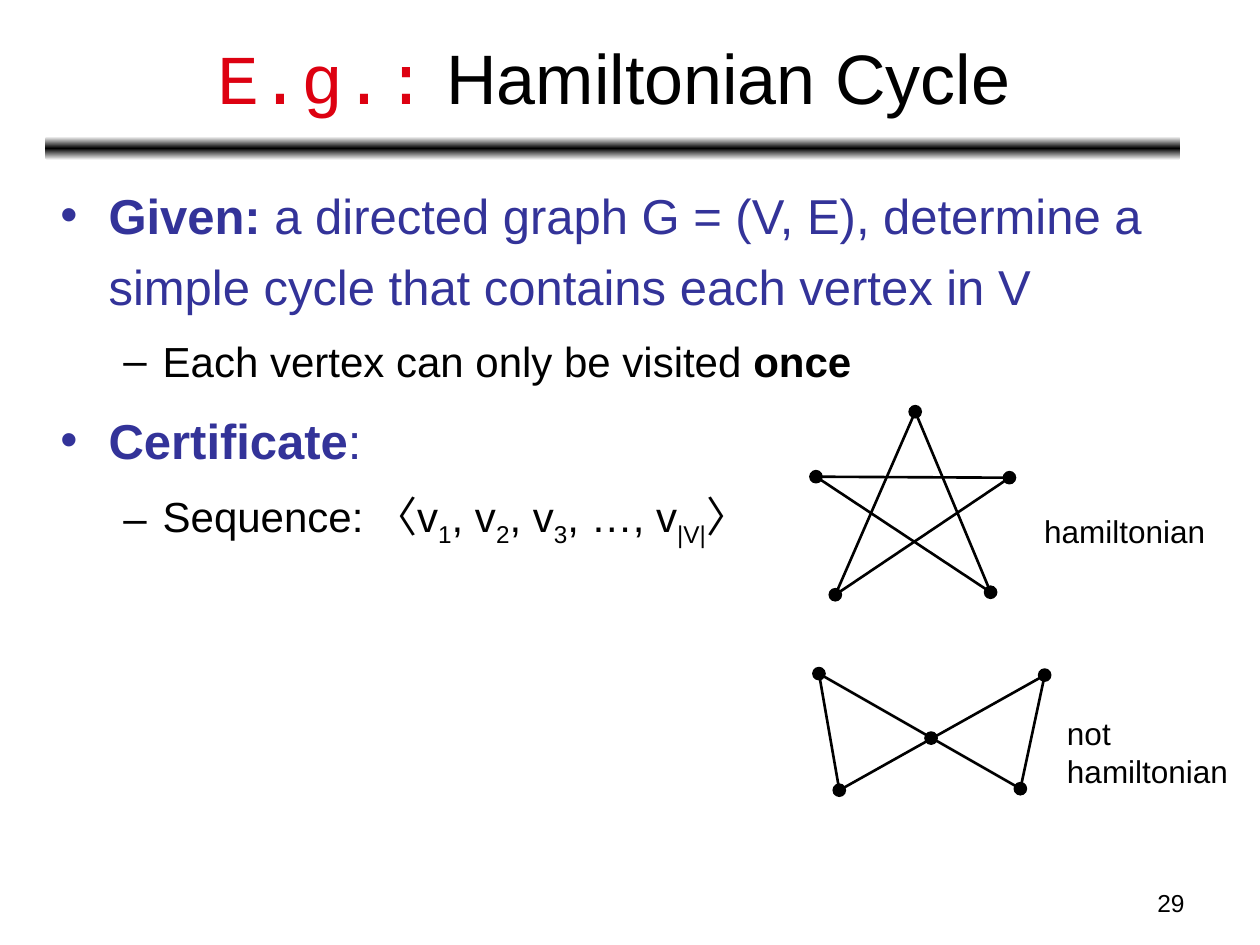
from copy import deepcopy
from dataclasses import dataclass

from lxml.etree import SubElement
from pptx import Presentation
from pptx.dml.color import RGBColor
from pptx.enum.shapes import MSO_CONNECTOR as Link, MSO_SHAPE as Preset
from pptx.enum.text import MSO_ANCHOR as Anchor, PP_ALIGN as Align
from pptx.oxml.ns import qn
from pptx.util import Cm, Pt


@dataclass(frozen=True)
class Theme:
    black: str = "000000"
    white: str = "FFFFFF"
    red: str = "DD0111"
    blue: str = "333399"
    sans: str = "Arial"
    mono: str = "Courier New"
    title: int = 40
    level_one: int = 28
    level_two: int = 24
    label: int = 18
    number: int = 14


def apply(target, values):
    for name, value in values.items():
        setattr(target, name, value)


class Painter:
    def __init__(self, page, theme):
        self.page = page
        self.theme = theme

    def text_box(self, left, top, width, height, **frame_format):
        box = self.page.shapes.add_textbox(Cm(left), Cm(top), Cm(width), Cm(height))
        apply(box.text_frame, {"word_wrap": True, **frame_format})
        return box.text_frame

    def paragraph(self, frame, spans, size, color=None, **para_format):
        """Add a paragraph; each span is a text with its own format values."""
        first = not frame.paragraphs[0].runs
        para = frame.paragraphs[0] if first else frame.add_paragraph()
        if first:
            para_format.pop("space_before", None)
        apply(para, para_format)
        for text, changes in spans:
            span = para.add_run()
            span.text = text
            look = {"name": self.theme.sans, "size": Pt(size), **changes}
            ink = look.pop("color", color or self.theme.black)
            baseline = look.pop("baseline", None)
            apply(span.font, look)
            span.font.color.rgb = RGBColor.from_string(ink)
            if baseline:
                span.font._element.set("baseline", str(baseline))
        return para

    def bullet(self, frame, level, spans):
        theme = self.theme
        mark, size, color, margin, hang, gap = (
            ("•", theme.level_one, theme.blue, 0.97, 0.97, 7),
            ("–", theme.level_two, theme.black, 2.06, 0.79, 6),
        )[level]
        para = self.paragraph(frame, spans, size, color, level=level,
                              line_spacing=1.2, space_before=Pt(gap))
        props = para._p.get_or_add_pPr()
        props.set("marL", str(Cm(margin)))
        props.set("indent", str(-Cm(hang)))
        SubElement(SubElement(props, qn("a:buClr")), qn("a:srgbClr")).set("val", color)
        SubElement(props, qn("a:buFont")).set("typeface", theme.sans)
        SubElement(props, qn("a:buChar")).set("char", mark)

    def rule(self, left, top, width, height):
        """A bar that fades from black in the middle to white at both edges."""
        bar = self.page.shapes.add_shape(Preset.ROUNDED_RECTANGLE, Cm(left), Cm(top),
                                         Cm(width), Cm(height))
        bar.shadow.inherit = False
        bar.line.fill.background()
        bar.fill.gradient()
        bar.fill.gradient_angle = 90
        stops = bar.fill._xPr.find(qn("a:gradFill")).find(qn("a:gsLst"))
        stops.append(deepcopy(stops[0]))
        colors = (self.theme.white, self.theme.black, self.theme.white)
        for stop, position, color in zip(bar.fill.gradient_stops, (0, 0.5, 1), colors):
            stop.position = position
            stop.color.rgb = RGBColor.from_string(color)

    def edge(self, start, end):
        line = self.page.shapes.add_connector(Link.STRAIGHT, *map(Cm, start + end))
        line.line.width = Pt(1.5)
        line.line.color.rgb = RGBColor.from_string(self.theme.black)
        SubElement(line._element.spPr, qn("a:effectLst"))

    def vertex(self, center, size=0.25):
        left, top = (Cm(value - size / 2) for value in center)
        dot = self.page.shapes.add_shape(Preset.OVAL, left, top, Cm(size), Cm(size))
        dot.shadow.inherit = False
        dot.fill.solid()
        dot.line.width = Pt(0.75)
        for part in (dot.fill.fore_color, dot.line.color):
            part.rgb = RGBColor.from_string(self.theme.black)

    def graph(self, vertices, edges):
        for start, end in edges:
            self.edge(vertices[start], vertices[end])
        for center in vertices.values():
            self.vertex(center)

    def label(self, left, top, height, *lines):
        frame = self.text_box(left, top, 3.76, height, word_wrap=False)
        for line in lines:
            self.paragraph(frame, [(line, {})], self.theme.label)


def main():
    theme = Theme()
    deck = Presentation()
    apply(deck, {"slide_width": Cm(25.4), "slide_height": Cm(19.05)})
    page = deck.slides.add_slide(deck.slide_layouts[6])
    painter = Painter(page, theme)

    # Title, rule and page number
    painter.rule(0.91, 2.75, 22.89, 0.48)
    title = painter.text_box(0.94, 0.28, 22.86, 2.51, vertical_anchor=Anchor.MIDDLE)
    painter.paragraph(title, [("E.g.:", {"name": theme.mono, "color": theme.red}),
                              (" Hamiltonian Cycle", {})],
                      theme.title, alignment=Align.CENTER)
    number = painter.text_box(18.21, 17.78, 5.92, 0.89)
    painter.paragraph(number, [("29", {})], theme.number, alignment=Align.RIGHT)

    # Problem statement and certificate
    bold, sub = {"bold": True}, {"baseline": -25000}
    body = painter.text_box(0.97, 3.38, 22.86, 14.1)
    painter.bullet(body, 0, [
        ("Given:", bold),
        (" a directed graph G = (V, E), determine a simple cycle "
         "that contains each vertex in V", {}),
    ])
    painter.bullet(body, 1, [("Each vertex can only be visited ", {}), ("once", bold)])
    painter.bullet(body, 0, [("Certificate", bold), (":", {})])
    painter.bullet(body, 1, [
        ("Sequence: 〈v", {}), ("1", sub), (", v", {}), ("2", sub), (", v", {}),
        ("3", sub), (", …, v", {}), ("|V|", sub), ("〉", {}),
    ])

    # Star graph: has a Hamiltonian cycle
    painter.graph(
        {"top": (18.45, 8.3), "right": (20.35, 9.63), "left": (16.45, 9.61),
         "low right": (19.97, 11.94), "low left": (16.84, 11.99)},
        [("left", "right"), ("top", "low right"), ("top", "low left"),
         ("right", "low left"), ("left", "low right")])
    painter.label(20.8, 10.19, 1.02, "hamiltonian")

    # Bow-tie graph: has none, the middle vertex would be visited twice
    painter.graph(
        {"top left": (16.51, 13.58), "top right": (21.06, 13.61),
         "low left": (16.92, 15.93), "low right": (20.57, 15.9),
         "middle": (18.77, 14.88)},
        [("top left", "low right"), ("top right", "low left"),
         ("top left", "low left"), ("top right", "low right")])
    painter.label(21.26, 14.27, 1.78, "not", "hamiltonian")

    deck.save("out.pptx")


if __name__ == "__main__":
    main()
